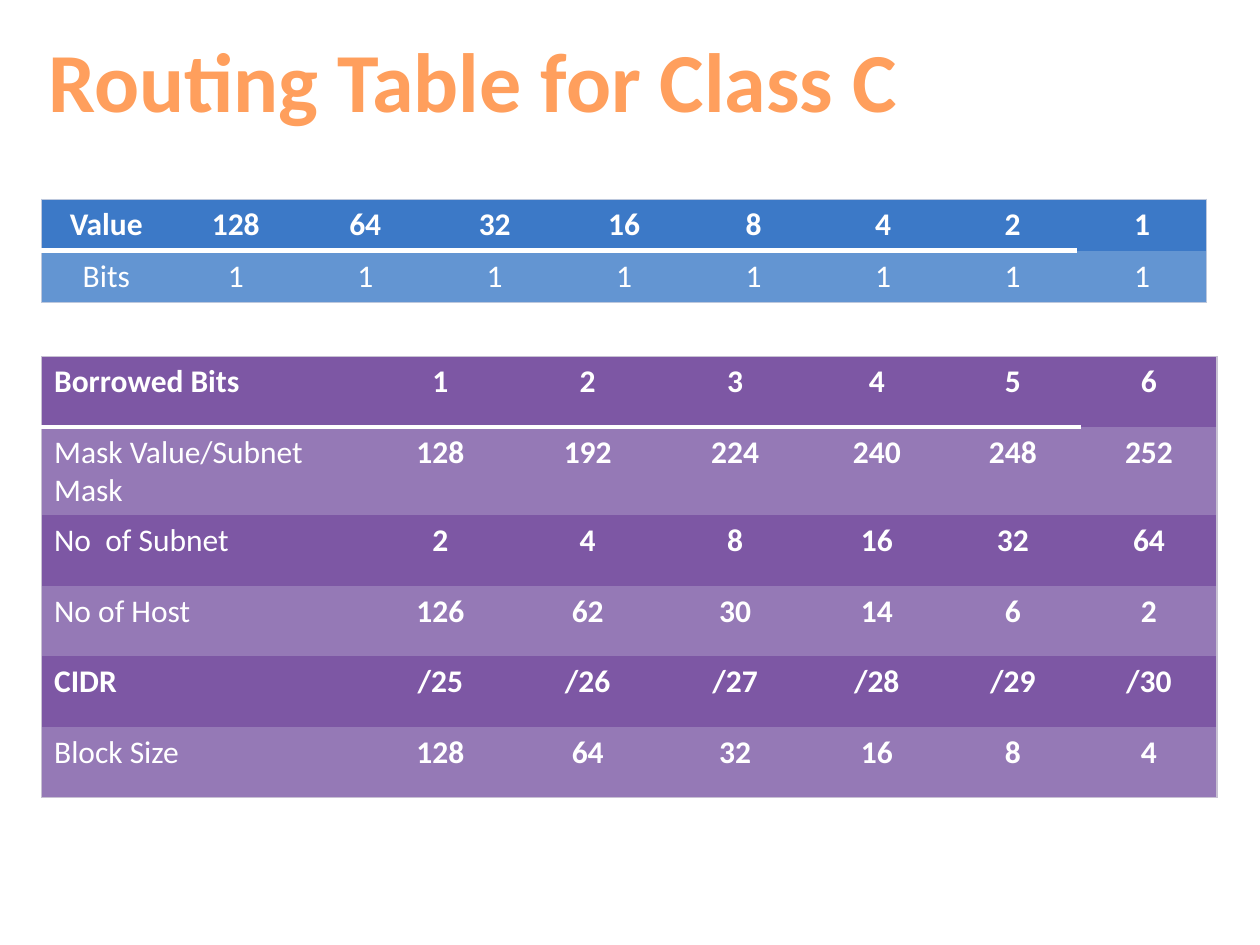
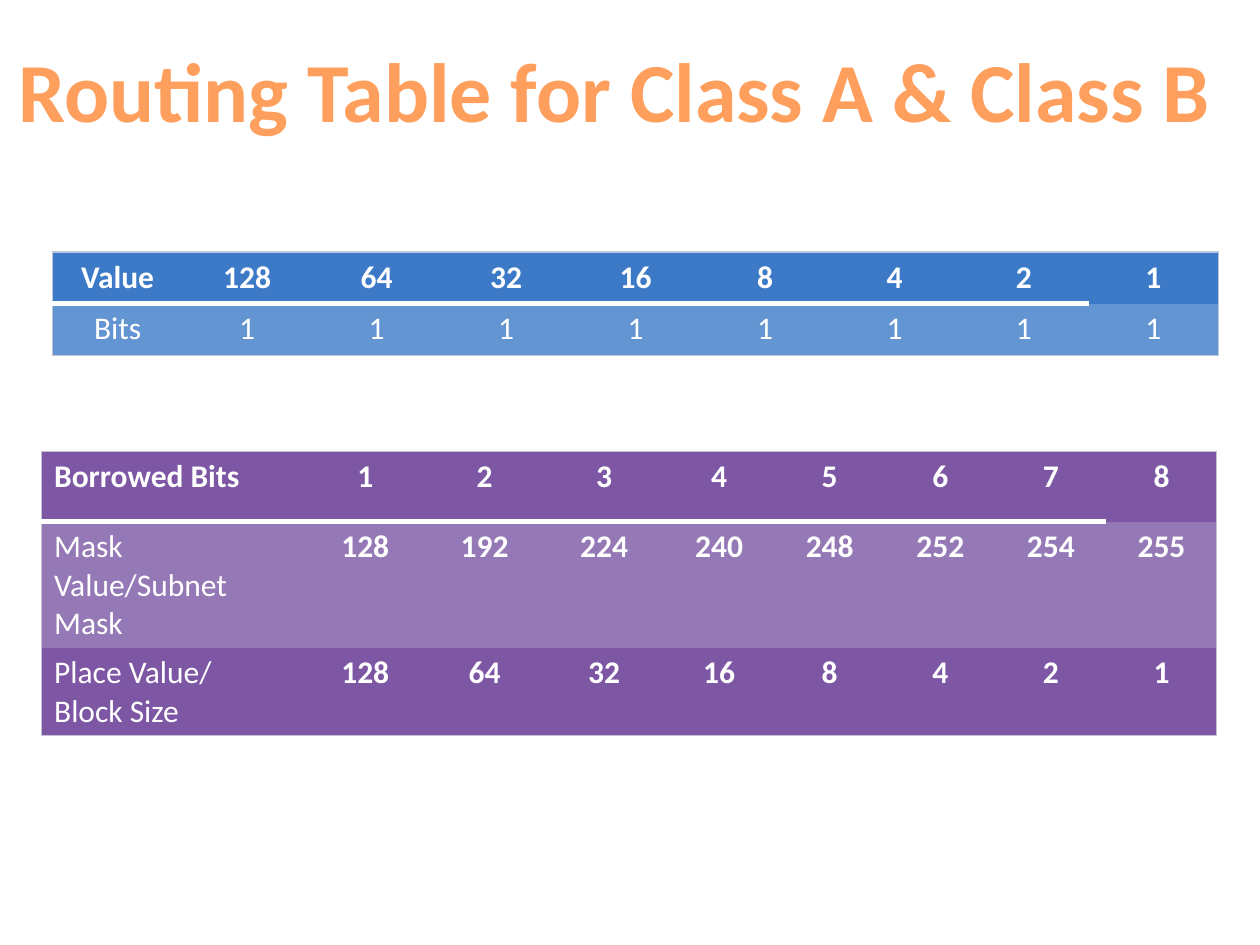
"""Build two slides of subnet routing tables for classes A, B and C."""
import pptx
import pptx.dml.color
import pptx.enum.text
import pptx.oxml
import pptx.oxml.ns
import pptx.util

Inches = pptx.util.Inches
Pt = pptx.util.Pt
RGB = pptx.dml.color.RGBColor.from_string
ALIGN = pptx.enum.text.PP_ALIGN


class Theme:
    font = "Calibri"
    title_size = 48
    cell_size = 18
    title = "FF9F5D"
    text = "FFFFFF"
    header_line = ("FFFFFF", 3)
    blue = {"bands": ("3C79C7", "6395D2"), "edge": ("BDC8DD", 0.75)}
    purple = {"bands": ("7D57A4", "9579B6"), "edge": ("C8C1D3", 0.75)}


POWERS = ["128", "64", "32", "16", "8", "4", "2", "1"]
MASKS = ["128", "192", "224", "240", "248", "252", "254", "255"]

BIT_ROWS = [
    ["Value"] + POWERS,
    ["Bits"] + ["1"] * 8,
]
CLASS_C_ROWS = [
    ["Borrowed Bits", "1", "2", "3", "4", "5", "6"],
    ["Mask Value/Subnet Mask"] + MASKS[:6],
    ["No  of Subnet", "2", "4", "8", "16", "32", "64"],
    ["No of Host", "126", "62", "30", "14", "6", "2"],
    ["CIDR", "/25", "/26", "/27", "/28", "/29", "/30"],
    ["Block Size"] + POWERS[:6],
]
CLASS_AB_ROWS = [
    ["Borrowed Bits", "1", "2", "3", "4", "5", "6", "7", "8"],
    ["Mask Value/Subnet Mask"] + MASKS,
    ["Place Value/\nBlock Size"] + POWERS,
]
BOLD_LABELS = {"Value", "Borrowed Bits", "CIDR"}

SLIDES = [
    {
        "title": "Routing Table for Class C",
        "title_box": (0.25, 0.17, 7.01, 0.91),
        "bits_at": (0.33, 1.58),
        "subnets_at": (0.33, 2.83),
        "subnets": CLASS_C_ROWS,
        "columns": [2.58] + [1.17] * 3 + [1.08] * 3,
    },
    {
        "title": "Routing Table for Class A & Class B",
        "title_box": (0, 0.25, 9.76, 0.91),
        "bits_at": (0.42, 2),
        "subnets_at": (0.33, 3.58),
        "subnets": CLASS_AB_ROWS,
        "columns": [2.1] + [0.95] * 3 + [0.88] * 5,
    },
]
BITS_WIDTH, BITS_ROW = 9.25, 0.41
SUBNETS_WIDTH, SUBNETS_ROW = 9.33, 0.56


def add_run(p, text, size, color, bold):
    r = p.add_run()
    r.text = text
    r.font.name = Theme.font
    r.font.size = Pt(size)
    r.font.bold = bold
    r.font.color.rgb = RGB(color)


def add_title(slide, text, box):
    sp = slide.shapes.title
    sp.left, sp.top, sp.width, sp.height = map(Inches, box)
    tf = sp.text_frame
    tf.word_wrap = False
    tf.auto_size = pptx.enum.text.MSO_AUTO_SIZE.SHAPE_TO_FIT_TEXT
    p = tf.paragraphs[0]
    p.alignment = ALIGN.CENTER
    add_run(p, text, Theme.title_size, Theme.title, True)


def set_borders(cell, borders):
    tc_pr = cell._tc.get_or_add_tcPr()
    ns = pptx.oxml.ns.nsdecls("a")
    for side in "LRTB":
        line = borders.get(side)
        if line:
            color, width = line
            xml = (f'<a:ln{side} {ns} w="{Pt(width)}"><a:solidFill>'
                   f'<a:srgbClr val="{color}"/></a:solidFill></a:ln{side}>')
        else:
            xml = f'<a:ln{side} {ns} w="0"><a:noFill/></a:ln{side}>'
        tc_pr.append(pptx.oxml.parse_xml(xml))


def cell_borders(row, col, last_row, last_col, edge):
    header_line = Theme.header_line if col < last_col else None
    return {
        "L": edge if col == 0 else None,
        "R": edge if col == last_col else None,
        "T": edge if row == 0 else header_line if row == 1 else None,
        "B": header_line if row == 0 else edge if row == last_row else None,
    }


def add_grid(slide, rows, at, columns, width, row_height, look, label_align, bold_values):
    left, top = at
    height = row_height * len(rows)
    table = slide.shapes.add_table(len(rows), len(columns), Inches(left), Inches(top),
                                   Inches(width), Inches(height)).table
    for column, share in zip(table.columns, columns):
        column.width = Inches(width * share / sum(columns))
    for i, row in enumerate(rows):
        table.rows[i].height = Inches(row_height)
        for j, text in enumerate(row):
            cell = table.cell(i, j)
            set_borders(cell, cell_borders(i, j, len(rows) - 1, len(row) - 1, look["edge"]))
            cell.fill.solid()
            cell.fill.fore_color.rgb = RGB(look["bands"][i % 2])
            bold = text in BOLD_LABELS if j == 0 else i == 0 or bold_values
            tf = cell.text_frame
            for k, line in enumerate(text.split("\n")):
                p = tf.add_paragraph() if k else tf.paragraphs[0]
                p.alignment = ALIGN.CENTER if j else label_align
                add_run(p, line, Theme.cell_size, Theme.text, bold)


def main():
    prs = pptx.Presentation()
    prs.slide_width, prs.slide_height = Inches(10), Inches(7.5)
    title_only = prs.slide_layouts[5]
    for content in SLIDES:
        slide = prs.slides.add_slide(title_only)
        add_title(slide, content["title"], content["title_box"])
        add_grid(slide, BIT_ROWS, content["bits_at"], [1] * 9, BITS_WIDTH, BITS_ROW,
                 Theme.blue, ALIGN.CENTER, False)
        add_grid(slide, content["subnets"], content["subnets_at"], content["columns"],
                 SUBNETS_WIDTH, SUBNETS_ROW, Theme.purple, ALIGN.LEFT, True)
    prs.save("out.pptx")


if __name__ == "__main__":
    main()
